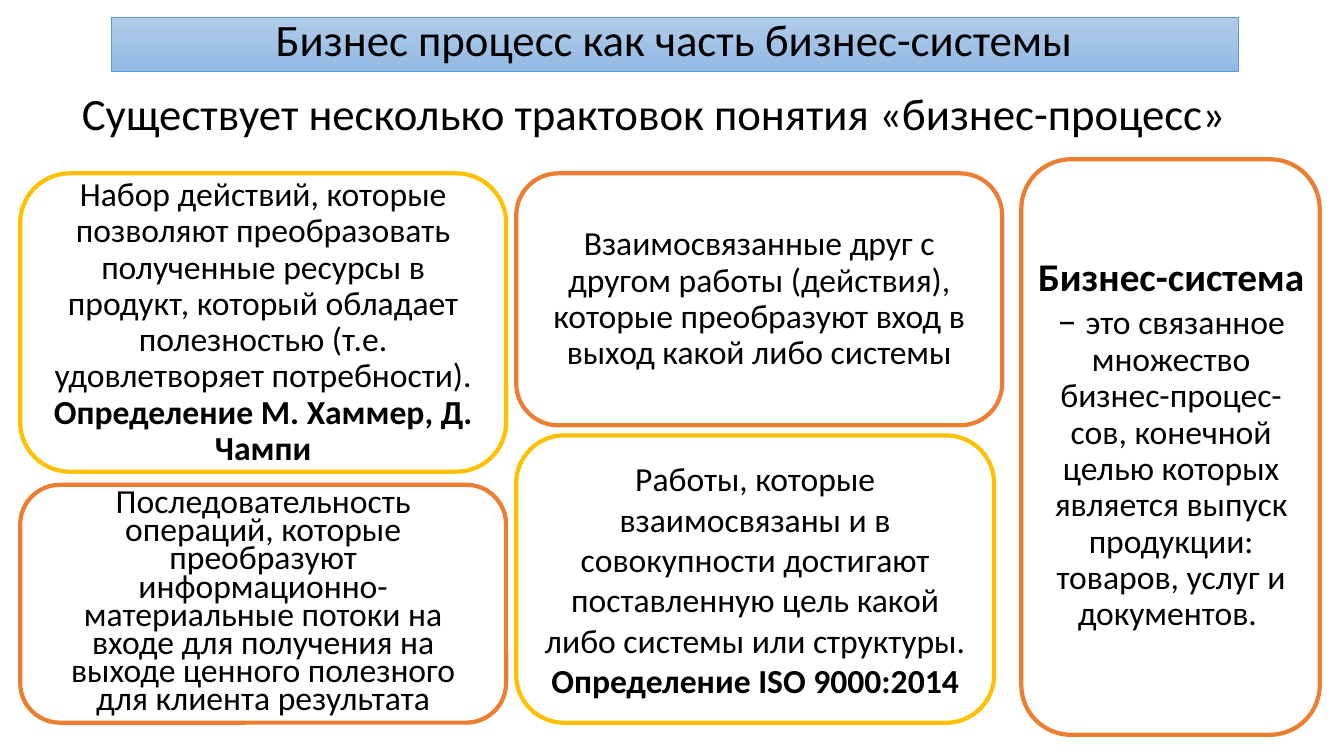
"""Build a slide that defines business processes and the business system."""
from dataclasses import dataclass

from pptx import Presentation
from pptx.dml.color import RGBColor as Color
from pptx.enum.shapes import MSO_SHAPE as Shape
from pptx.enum.text import MSO_ANCHOR as Anchor, MSO_AUTO_SIZE as AutoSize, PP_ALIGN as Align
from pptx.util import Inches, Pt


@dataclass(frozen=True)
class Theme:
    font: str = "Calibri"
    text: Color = Color.from_string("000000")
    white: Color = Color.from_string("FFFFFF")
    gold: Color = Color.from_string("FFC000")
    orange: Color = Color.from_string("ED7D31")
    blue: Color = Color.from_string("5B9BD5")
    title_top: Color = Color.from_string("B1CBE9")
    title_bottom: Color = Color.from_string("93B9E4")
    heading: int = 32
    term: int = 28
    body: int = 24


theme = Theme()


def write(shape, paragraphs, spacing=1.0, anchor=Anchor.TOP, auto_size=AutoSize.NONE):
    """Fill a shape with centred paragraphs of (text, size, bold) spans."""
    frame = shape.text_frame
    frame.word_wrap = True
    frame.auto_size = auto_size
    frame.vertical_anchor = anchor
    for index, spans in enumerate(paragraphs):
        para = frame.add_paragraph() if index else frame.paragraphs[0]
        para.alignment = Align.CENTER
        para.line_spacing = spacing
        for text, size, bold in spans:
            span = para.add_run()
            span.text = text
            span.font.name = theme.font
            span.font.size = Pt(size)
            span.font.bold = bold
            span.font.color.rgb = theme.text


def add_panel(page, left, top, width, height, color, filled):
    """Add a rounded panel with a coloured outline."""
    panel = page.shapes.add_shape(
        Shape.ROUNDED_RECTANGLE, Inches(left), Inches(top), Inches(width), Inches(height))
    panel.shadow.inherit = False
    if filled:
        panel.fill.solid()
        panel.fill.fore_color.rgb = theme.white
    else:
        panel.fill.background()
    panel.line.color.rgb = color
    panel.line.width = Pt(3)
    return panel


deck = Presentation()
deck.slide_width, deck.slide_height = Inches(13.33), Inches(7.5)
page = deck.slides.add_slide(deck.slide_layouts[5])

title = page.shapes.title
title.left, title.top = Inches(1.1), Inches(0.17)
title.width, title.height = Inches(11.18), Inches(0.54)
title.fill.gradient()
title.fill.gradient_angle = 270
for stop, color in zip(title.fill.gradient_stops, (theme.title_top, theme.title_bottom)):
    stop.color.rgb = color
title.line.color.rgb = theme.blue
title.line.width = Pt(0.5)
write(title, [[("Бизнес процесс как часть бизнес-системы", theme.heading, False)]], spacing=0.8)

subtitle = page.shapes.add_textbox(Inches(0.6), Inches(0.8), Inches(11.88), Inches(0.64))
write(subtitle, [[("Существует несколько трактовок понятия «бизнес-процесс» ", theme.heading, False)]],
      auto_size=AutoSize.SHAPE_TO_FIT_TEXT)

definitions = [
    (0.2, 1.72, 4.82, 2.96, theme.gold, False, 0.9,
     "Набор действий, которые позволяют преобразовать полученные ресурсы в продукт, "
     "который обладает полезностью (т.е. удовлетворяет потребности).",
     "Определение М. Хаммер, Д. Чампи"),
    (5.12, 4.32, 4.74, 2.85, theme.gold, False, 1.0,
     "Работы, которые взаимосвязаны и в совокупности достигают поставленную цель "
     "какой либо системы или структуры.",
     "Определение ISO 9000:2014"),
    (5.12, 1.72, 4.82, 2.5, theme.orange, True, 0.9,
     "Взаимосвязанные друг с другом работы (действия), которые преобразуют вход "
     "в выход какой либо системы", None),
    (0.2, 4.81, 4.82, 2.36, theme.orange, True, 0.7,
     "Последовательность операций, которые преобразуют информационно-материальные "
     "потоки на входе для получения на выходе ценного полезного для клиента результата", None),
]
for left, top, width, height, color, filled, spacing, meaning, author in definitions:
    panel = add_panel(page, left, top, width, height, color, filled)
    paragraphs = [[(meaning, theme.body, False)]]
    if author:
        paragraphs.append([(author, theme.body, True)])
    write(panel, paragraphs, spacing=spacing, anchor=Anchor.MIDDLE)

add_panel(page, 10.13, 1.58, 2.96, 5.71, theme.orange, False)
system = page.shapes.add_textbox(Inches(10.19), Inches(2.51), Inches(2.85), Inches(3.86))
write(system, [[
    ("Бизнес-система ", theme.term, True),
    ("– ", theme.term, False),
    ("это связанное множество бизнес-процес-сов, конечной целью которых является "
     "выпуск продукции: товаров, услуг и документов. ", theme.body, False),
]], spacing=0.9, auto_size=AutoSize.SHAPE_TO_FIT_TEXT)

deck.save("out.pptx")
